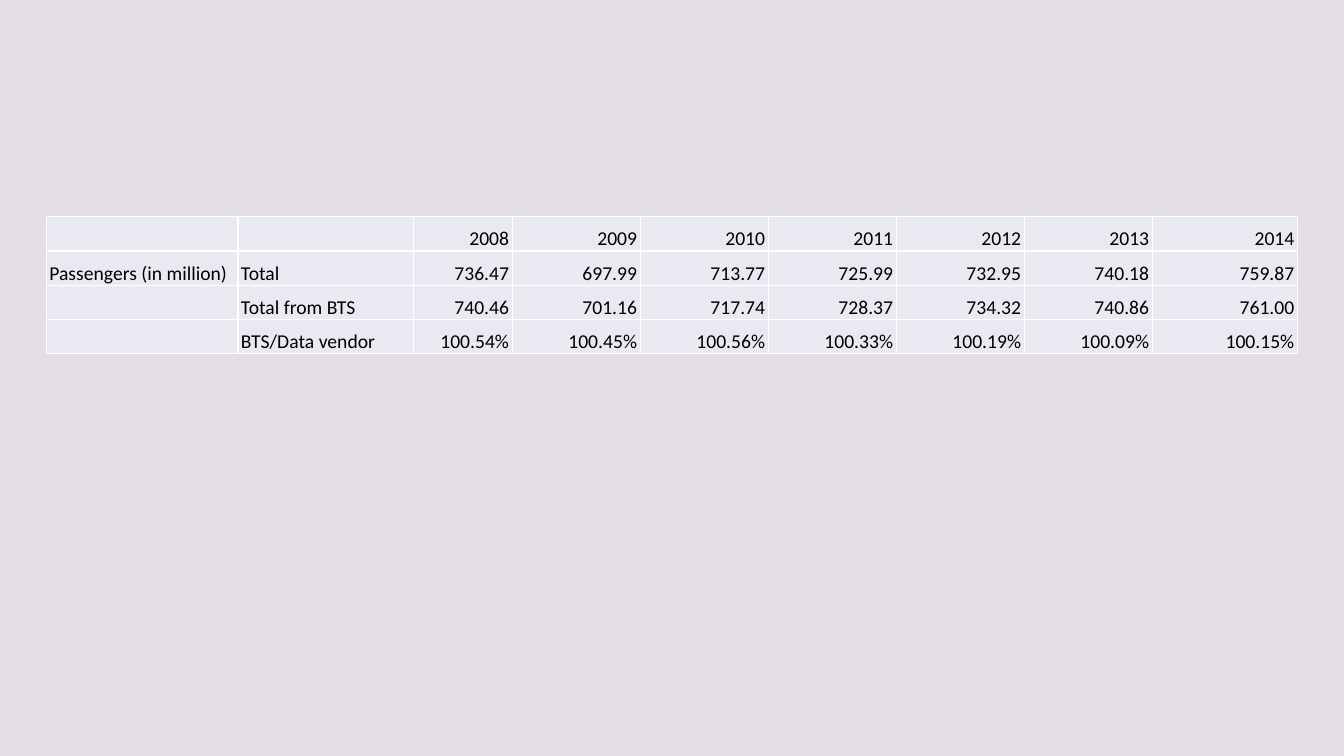
from dataclasses import dataclass

from lxml import etree
from pptx import Presentation
from pptx.dml.color import RGBColor
from pptx.enum.text import MSO_ANCHOR, PP_ALIGN
from pptx.oxml.ns import qn
from pptx.util import Inches, Pt

PAGE = "E2DEE3"
CELL = "E9EAF1"
GRID = "FFFFFF"
INK = "000000"
COL_WIDTHS = [1.9, 1.74, 0.98] + [1.27] * 5 + [1.44]
ROW_HEIGHT = 0.34
LABEL_COLS = 2


@dataclass
class Row:
    group: str
    label: str
    values: list[str]


ROWS = [
    Row("", "", [str(year) for year in range(2008, 2015)]),
    Row("Passengers (in million)", "Total",
        ["736.47", "697.99", "713.77", "725.99", "732.95", "740.18", "759.87"]),
    Row("", "Total from BTS",
        ["740.46", "701.16", "717.74", "728.37", "734.32", "740.86", "761.00"]),
    Row("", "BTS/Data vendor",
        ["100.54%", "100.45%", "100.56%", "100.33%", "100.19%", "100.09%", "100.15%"]),
]


def rgb(color: str) -> RGBColor:
    return RGBColor.from_string(color)


def set_borders(cell, color: str, width: float) -> None:
    tc_pr = cell._tc.get_or_add_tcPr()
    for i, side in enumerate(("lnL", "lnR", "lnT", "lnB")):
        ln = etree.Element(qn(f"a:{side}"), w=str(Pt(width)))
        fill = etree.SubElement(ln, qn("a:solidFill"))
        etree.SubElement(fill, qn("a:srgbClr"), val=color)
        tc_pr.insert(i, ln)


def fill_cell(cell, text: str, align: PP_ALIGN) -> None:
    cell.fill.solid()
    cell.fill.fore_color.rgb = rgb(CELL)
    set_borders(cell, GRID, 1)
    cell.vertical_anchor = MSO_ANCHOR.BOTTOM
    cell.margin_left = cell.margin_right = cell.margin_top = Inches(0.03)
    cell.margin_bottom = 0
    p = cell.text_frame.paragraphs[0]
    p.text = text
    p.alignment = align
    for r in p.runs:
        r.font.name = "Calibri"
        r.font.size = Pt(14)
        r.font.color.rgb = rgb(INK)


def add_passenger_table(s, rows: list[Row]) -> None:
    frame = s.shapes.add_table(
        len(rows), len(COL_WIDTHS), Inches(0.46), Inches(2.15),
        Inches(sum(COL_WIDTHS)), Inches(ROW_HEIGHT * len(rows)))
    table = frame.table
    table.first_row = table.horz_banding = False
    for column, width in zip(table.columns, COL_WIDTHS):
        column.width = Inches(width)
    for i, row in enumerate(rows):
        table.rows[i].height = Inches(ROW_HEIGHT)
        for j, text in enumerate([row.group, row.label, *row.values]):
            align = PP_ALIGN.LEFT if j < LABEL_COLS else PP_ALIGN.RIGHT
            fill_cell(table.cell(i, j), text, align)


def main() -> None:
    prs = Presentation()
    prs.slide_width, prs.slide_height = Inches(13.33), Inches(7.5)
    s = prs.slides.add_slide(prs.slide_layouts[6])

    # Background
    s.background.fill.solid()
    s.background.fill.fore_color.rgb = rgb(PAGE)

    # Passenger figures by year
    add_passenger_table(s, ROWS)
    prs.save("out.pptx")


if __name__ == "__main__":
    main()
